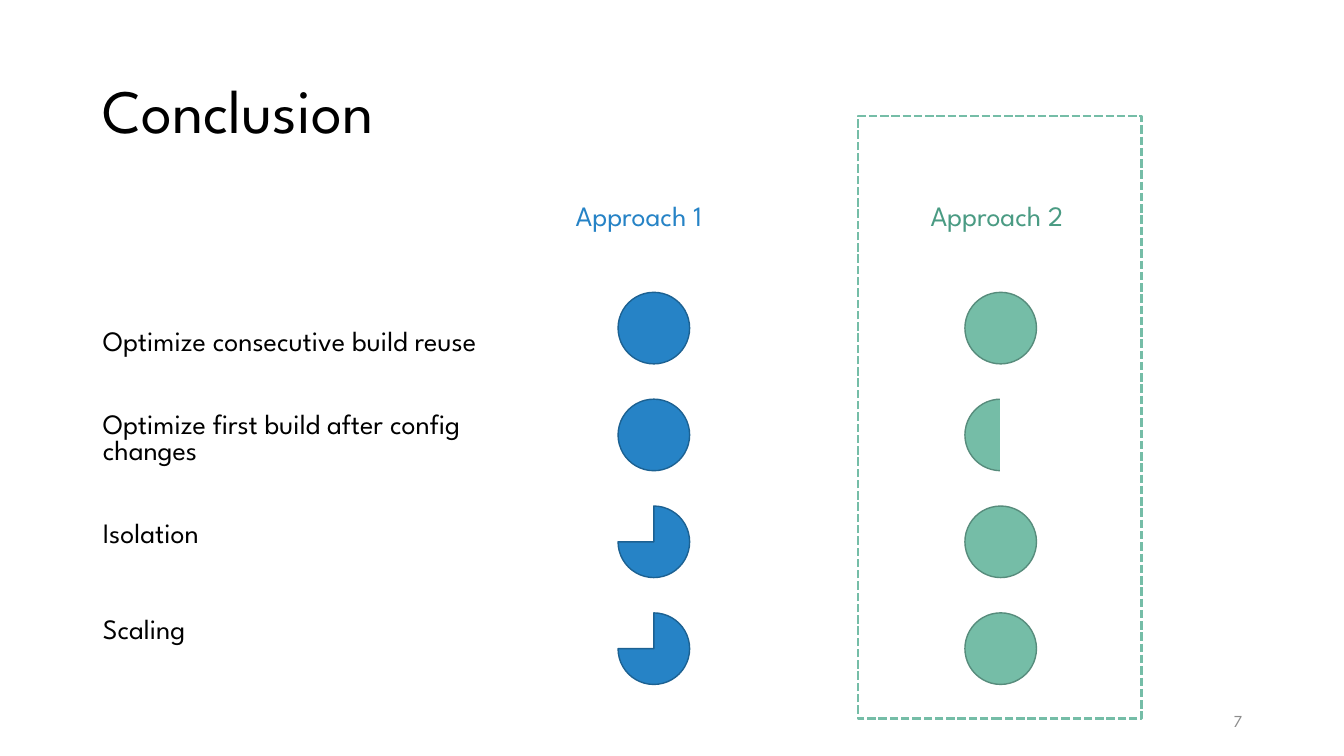
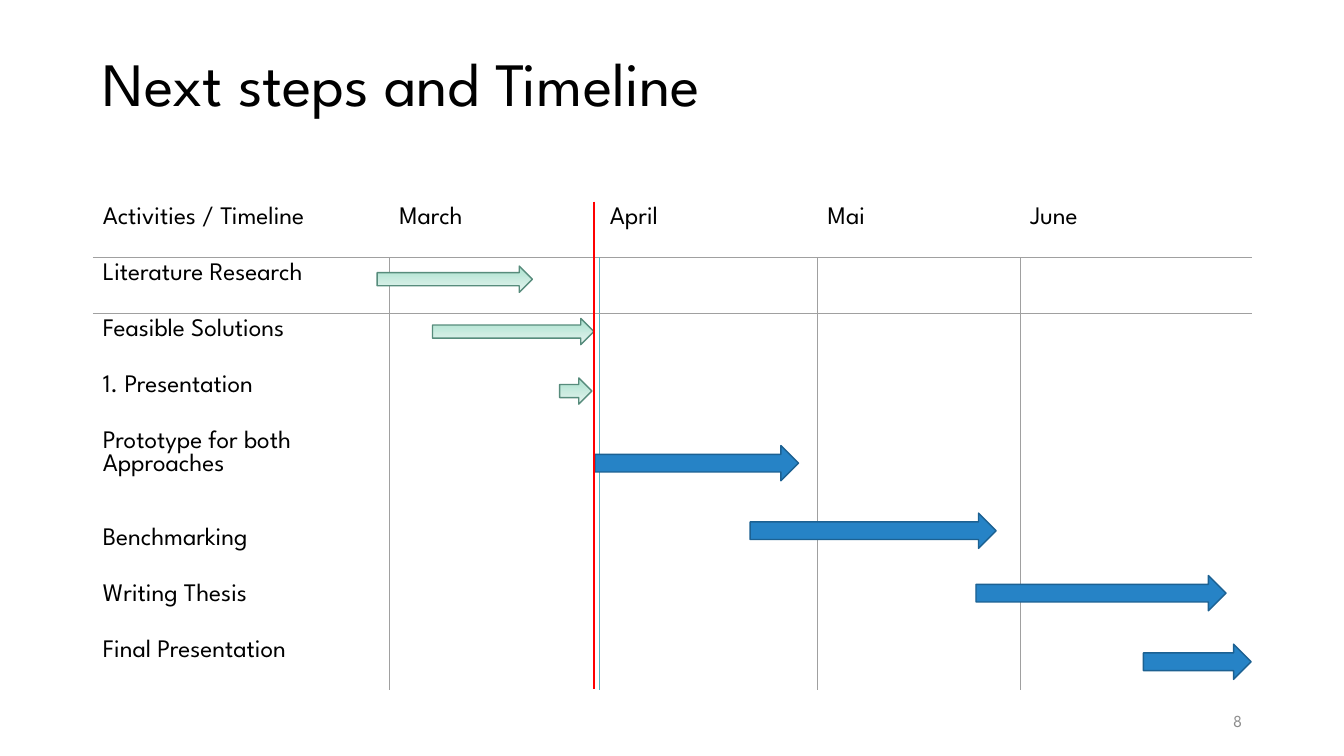
from lxml import etree
from pptx import Presentation
from pptx.dml.color import RGBColor
from pptx.enum.dml import MSO_LINE
from pptx.enum.shapes import MSO_CONNECTOR, MSO_SHAPE
from pptx.enum.text import MSO_ANCHOR, PP_ALIGN
from pptx.oxml import parse_xml
from pptx.oxml.ns import nsdecls, qn
from pptx.util import Inches, Pt

RECT, DISC, PIE, ARROW = (MSO_SHAPE.RECTANGLE, MSO_SHAPE.OVAL,
                          MSO_SHAPE.PIE, MSO_SHAPE.RIGHT_ARROW)
TOP, MID = MSO_ANCHOR.TOP, MSO_ANCHOR.MIDDLE
LEFT, RIGHT = PP_ALIGN.LEFT, PP_ALIGN.RIGHT
DASH = MSO_LINE.SQUARE_DOT
LINE = MSO_CONNECTOR.STRAIGHT
PLAIN = "{2D5ABB26-0587-4C30-8999-92F81FD0307C}"


class Theme:
    font = "League Spartan"
    title, label, small, note = 44, 20, 18, 12
    black, white, gray, rule = "000000", "FFFFFF", "8C8C8C", "A0A0A0"
    blue, navy = "2683C6", "1C6192"
    green, moss, leaf = "75BDA7", "578C7C", "4A9B83"
    mint, pale = "AAE1CE", "E5F4EF"
    teal, red = "58B6C0", "FF0000"


def write(frame, text, size, color=Theme.black, align=LEFT, space=None):
    frame.word_wrap = True
    para = frame.paragraphs[0]
    para.alignment = align
    para.line_spacing = space
    run = para.add_run()
    run.text = text
    run.font.name = Theme.font
    run.font.size = Pt(size)
    run.font.color.rgb = RGBColor.from_string(color)


def draw(slide, kind, box, fill=None, line=None, width=1):
    """Add a preset shape; fill is None, a colour or a pair for a gradient."""
    shape = slide.shapes.add_shape(kind, *map(Inches, box))
    shape.shadow.inherit = False
    if fill is None:
        shape.fill.background()
    elif isinstance(fill, tuple):
        shape.fill.gradient()
        shape.fill.gradient_angle = 270
        for stop, color in zip(shape.fill.gradient_stops, fill):
            stop.color.rgb = RGBColor.from_string(color)
    else:
        shape.fill.solid()
        shape.fill.fore_color.rgb = RGBColor.from_string(fill)
    if line is None:
        shape.line.fill.background()
    else:
        shape.line.color.rgb = RGBColor.from_string(line)
        shape.line.width = Pt(width)
    return shape


deck = Presentation()
deck.slide_width, deck.slide_height = Inches(13.33), Inches(7.5)
blank = deck.slide_layouts[6]
edge, top, wide = 0.92, 2, 11.5

# Title, page number and table of each slide
row = (4.85 - 0.96) / 7
pages = [
    dict(title="Conclusion", page="7", high=1.45, size=Theme.label, anchor=MID,
         cols=[3.98, 0.71, 3.52, 3.3], rows=[0.95] * 5,
         head=["", "", "Approach 1", "Approach 2"],
         tints=[Theme.black, Theme.black, Theme.blue, Theme.leaf],
         names=["Optimize consecutive build reuse",
                "Optimize first build after config changes",
                "Isolation", "Scaling"]),
    dict(title="Next steps and Timeline", page="8", high=0.92,
         size=Theme.small, anchor=TOP,
         cols=[2.94, 2.09, 2.16, 2.01, 2.3],
         rows=[row] * 4 + [0.96] + [row] * 3,
         head=["Activities / Timeline", "March", "April", "Mai", "June"],
         tints=[Theme.black] * 5,
         names=["Literature Research", "Feasible Solutions",
                "1. Presentation", "Prototype for both Approaches",
                "Benchmarking", "Writing Thesis", "Final Presentation"]),
]
slides, grids = [], []
for page in pages:
    slide = deck.slides.add_slide(blank)
    slides.append(slide)
    for box, text, style in (
        ((edge, 0.4, wide, page["high"]), page["title"],
         dict(size=Theme.title, space=0.9)),
        ((9.42, 6.95, 3, 0.4), page["page"],
         dict(size=Theme.note, color=Theme.gray, align=RIGHT)),
    ):
        frame = slide.shapes.add_textbox(*map(Inches, box)).text_frame
        frame.vertical_anchor = MID
        write(frame, text, **style)

    cols, rows = page["cols"], page["rows"]
    grid = slide.shapes.add_table(
        len(rows), len(cols), Inches(edge), Inches(top),
        Inches(sum(cols)), Inches(sum(rows))).table
    grids.append(grid)
    grid.first_row = grid.horz_banding = False
    grid._tbl.tblPr.find(qn("a:tableStyleId")).text = PLAIN
    for col, size in zip(grid.columns, cols):
        col.width = Inches(size)
    for line, size in zip(grid.rows, rows):
        line.height = Inches(size)
    for cell, text, tint in zip(grid.rows[0].cells, page["head"], page["tints"]):
        if text:
            write(cell.text_frame, text, page["size"], tint)
    for i, text in enumerate(page["names"], 1):
        cell = grid.cell(i, 0)
        cell.vertical_anchor = page["anchor"]
        write(cell.text_frame, text, page["size"])

# Conclusion: ratings of both approaches
slide = slides[0]
disc, first, step = 0.71, 2.9, 1.06
ratings = [
    (6.13, Theme.blue, Theme.navy, [DISC, DISC, PIE, PIE]),
    (9.57, Theme.green, Theme.moss, [DISC] * 4),
]
for left, fill, line, kinds in ratings:
    for i, kind in enumerate(kinds):
        mark = draw(slide, kind, (left, first + i * step, disc, disc), fill, line)
        if kind == PIE:
            mark.rotation = 270
draw(slide, RECT, (9.92, 3.94, 0.71, 0.79), Theme.white)
frame = draw(slide, RECT, (8.51, 1.15, 2.81, 5.98), line=Theme.green, width=2)
frame.line.dash_style = DASH

# Timeline: rules of the table
grid = grids[1]
last = len(grid.columns) - 1
for r, line in enumerate(grid.rows):
    for c, cell in enumerate(line.cells):
        sides = []
        if r > 0 and c < last:
            sides.append(("R", *((Theme.teal, 1) if c == 1 else (Theme.rule, 0.5))))
        if r < 2:
            sides.append(("B", Theme.rule, 0.5))
        for side, color, width in sides:
            cell._tc.get_or_add_tcPr().append(parse_xml(
                f'<a:ln{side} {nsdecls("a")} w="{Pt(width)}"><a:solidFill>'
                f'<a:srgbClr val="{color}"/></a:solidFill></a:ln{side}>'))
for grid in grids:
    for line in grid.rows:
        for cell in line.cells:
            cell.fill.background()

# Timeline: finished and planned work, and today
slide = slides[1]
bars = [
    ((Theme.mint, Theme.pale), Theme.moss, 0.26,
     [(3.74, 2.64, 1.54), (4.29, 3.16, 1.6), (5.55, 3.75, 0.32)]),
    (Theme.blue, Theme.navy, 0.35,
     [(5.9, 4.42, 2.02), (7.44, 5.09, 2.44), (9.68, 5.71, 2.48),
      (11.34, 6.39, 1.07)]),
]
for fill, line, high, spans in bars:
    for span in spans:
        draw(slide, ARROW, (*span, high), fill, line)
today = slide.shapes.add_connector(
    LINE, *map(Inches, (5.89, top, 5.89, 6.84)))
today.line.color.rgb = RGBColor.from_string(Theme.red)
today.line.width = Pt(1.5)
etree.SubElement(today._element.spPr, qn("a:effectLst"))

deck.save("out.pptx")
